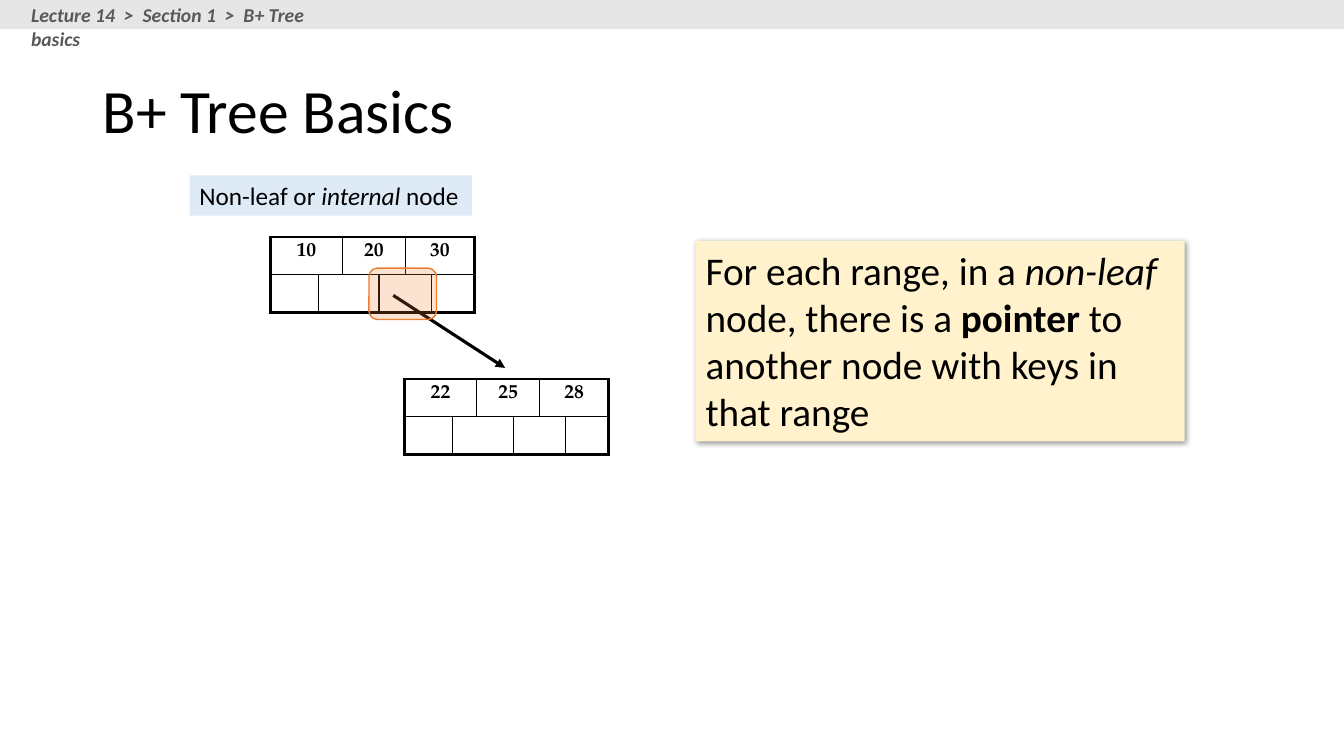
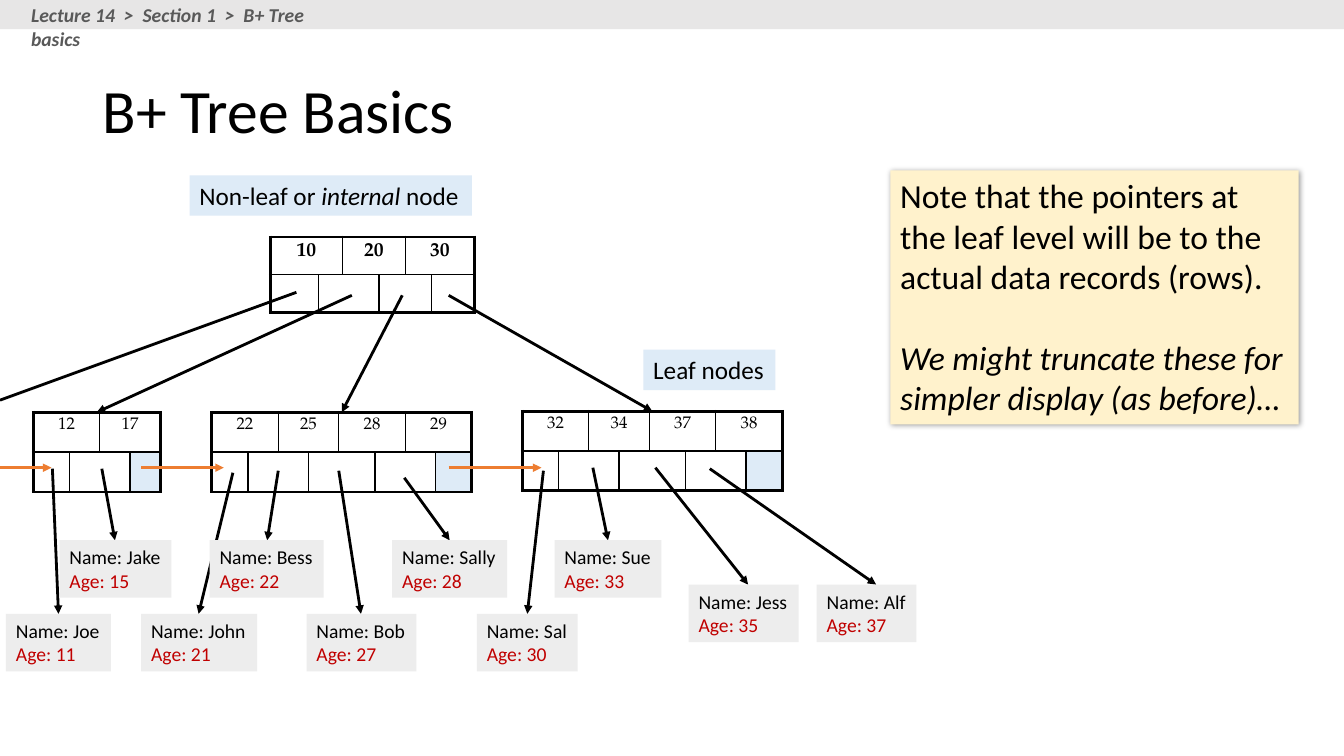
from dataclasses import dataclass

from lxml.etree import SubElement
from pptx import Presentation
from pptx.dml.color import RGBColor
from pptx.enum.shapes import MSO_CONNECTOR, MSO_SHAPE
from pptx.enum.text import MSO_ANCHOR, PP_ALIGN
from pptx.oxml import parse_xml
from pptx.oxml.ns import nsdecls, qn
from pptx.util import Inches, Pt


@dataclass(frozen=True)
class Theme:
    sans: str = "Calibri"
    serif: str = "TeX Gyre Pagella"
    ink: str = "000000"
    crumb: str = "595959"
    band: str = "E7E6E6"
    label: str = "DEEBF7"
    note: str = "FFF2CC"
    card: str = "EDEDED"
    age: str = "C00000"
    accent: str = "ED7D31"
    title_size: int = 44
    label_size: int = 18
    small_size: int = 14
    key_size: int = 12
    thin: float = 1
    arrow: float = 2
    thick: float = 2.25


THEME = Theme()
WIDTH, HEIGHT = 13.33, 7.5
ITALIC, BOLD = {"italic": True}, {"bold": True}

TITLE = "B+ Tree Basics"
CRUMBS = ("Lecture 14", "Section 1", "B+ Tree basics")
INTERNAL_LABEL = [[("Non-leaf or ", {}), ("internal ", ITALIC), ("node", {})]]
LEAF_LABEL = [[("Leaf nodes", {})]]
RANGE_NOTE = [[
    ("For each range, in a ", {}), ("non-leaf ", ITALIC), ("node, there is a ", {}),
    ("pointer", BOLD), (" to another node with keys in that range", {}),
]]
RECORD_NOTE = [
    [("Note that the pointers at the leaf level will be to the actual data records (rows).", {})],
    [("We might truncate these for simpler display (as before)…", ITALIC)],
]

INTERNAL_COLUMNS = (0.48, 0.21, 0.36, 0.26, 0.26, 0.43)
LEAF_COLUMNS = (0.36, 0.3, 0.3, 0.3, 0.36, 0.3, 0.3, 0.36)
INTERNAL_ROW, LEAF_ROW = 0.375, 0.395
ROOT_KEYS, ROOT_PLACE = ("10", "20", "30"), (2.68, 2.35)
CHILD_KEYS, CHILD_PLACE = ("22", "25", "28"), (4.01, 3.76)
LEAVES = [
    (("12", "17"), (0.33, 4.09), LEAF_COLUMNS[:4], (3.49, 2.93)),
    (("22", "25", "28", "29"), (2.1, 4.09), LEAF_COLUMNS, (3.99, 2.93)),
    (("32", "34", "37", "38"), (5.18, 4.08), LEAF_COLUMNS, (4.45, 2.93)),
]
CHAIN_TOP = 4.64
CHAIN = [(0, 0.51), (1.4, 2.22), (4.45, 5.37)]
CARD_HEIGHT = 0.57
UPPER, MIDDLE, LOWER = 5.36, 5.8, 6.09
RECORDS = [
    ("Joe", 11, 0.06, LOWER, 1.04, (0.52, 4.65), 0.58),
    ("Jake", 15, 0.59, UPPER, 1.11, (1.01, 4.65), 1.14),
    ("John", 21, 1.4, LOWER, 1.15, (2.31, 4.69), 1.97),
    ("Bess", 22, 2.08, UPPER, 1.13, (2.76, 4.67), 2.65),
    ("Bob", 27, 3.04, LOWER, 1.09, (3.36, 4.67), 3.58),
    ("Sally", 28, 3.89, UPPER, 1.14, (4.01, 4.74), 4.46),
    ("Sal", 30, 4.73, LOWER, 1, (5.39, 4.67), 5.23),
    ("Sue", 33, 5.5, UPPER, 1.06, (5.88, 4.64), 6.03),
    ("Jess", 35, 6.83, MIDDLE, 1.09, (6.5, 4.64), 7.42),
    ("Alf", 37, 8.1, MIDDLE, 0.99, (7.04, 4.65), 8.69),
]


def color(code):
    return RGBColor.from_string(code)


def apply(target, values):
    for name, value in values.items():
        setattr(target, name, value)


def add_span(para, text, size, font=THEME.sans, ink=THEME.ink, **extra):
    span = para.add_run()
    span.text = text
    apply(span.font, {"name": font, "size": Pt(size), **extra})
    span.font.color.rgb = color(ink)


def write(box, paragraphs, size, gap=0, **frame_format):
    frame = box.text_frame
    apply(frame, {"word_wrap": True, "vertical_anchor": MSO_ANCHOR.TOP, **frame_format})
    for index, spans in enumerate(paragraphs):
        para = frame.add_paragraph() if index else frame.paragraphs[0]
        para.alignment = PP_ALIGN.LEFT
        if index and gap:
            para.space_before = Pt(gap)
        for text, extra in spans:
            add_span(para, text, size, **extra)


def add_panel(page, place, fill, kind=MSO_SHAPE.RECTANGLE):
    panel = page.shapes.add_shape(kind, *map(Inches, place))
    panel.shadow.inherit = False
    panel.fill.solid()
    panel.fill.fore_color.rgb = color(fill)
    panel.line.fill.background()
    return panel


def add_label(page, place, paragraphs):
    write(add_panel(page, place, THEME.label), paragraphs, THEME.label_size, margin_right=0)


def add_note(page, place, paragraphs, size, gap=0):
    panel = add_panel(page, place, THEME.note)
    effects = panel._element.spPr.find(qn("a:effectLst"))
    effects.append(parse_xml(
        f'<a:outerShdw {nsdecls("a")} blurRad="50800" dist="12700" dir="2700000" algn="tl" '
        f'rotWithShape="0"><a:srgbClr val="{THEME.ink}"><a:alpha val="40000"/></a:srgbClr></a:outerShdw>'
    ))
    write(panel, paragraphs, size, gap)


def add_arrow(page, start, end, ink=THEME.ink, width=THEME.arrow, head=True):
    arrow = page.shapes.add_connector(MSO_CONNECTOR.STRAIGHT, *map(Inches, (*start, *end)))
    arrow.line.color.rgb = color(ink)
    arrow.line.width = Pt(width)
    if head:
        SubElement(arrow.line._get_or_add_ln(), qn("a:tailEnd"), type="triangle")
    SubElement(arrow._element.spPr, qn("a:effectLst"))


def set_borders(cell, widths):
    properties = cell._tc.get_or_add_tcPr()
    for index, (side, width) in enumerate(zip("LRTB", widths)):
        properties.insert(index, parse_xml(
            f'<a:ln{side} {nsdecls("a")} w="{int(Pt(width))}"><a:solidFill>'
            f'<a:srgbClr val="{THEME.ink}"/></a:solidFill></a:ln{side}>'
        ))


def add_node(page, keys, place, columns, row_height, size, bold=False, linked=False):
    count = len(columns)
    grid = page.shapes.add_table(
        2, count, *map(Inches, (*place, sum(columns), 2 * row_height))).table
    apply(grid, {"first_row": False, "horz_banding": False})
    for column, width in zip(grid.columns, columns):
        column.width = Inches(width)
    for row in grid.rows:
        row.height = Inches(row_height)
    key_groups = [(first, first + 1) for first in range(0, count, 2)]
    pointer_groups = [(0, 0), *((first, first + 1) for first in range(1, count - 1, 2)),
                      (count - 1, count - 1)]
    for row, groups in enumerate((key_groups, pointer_groups)):
        for position, (first, last) in enumerate(groups):
            edges = (first == 0, last == count - 1, row == 0, row == 1)
            widths = [THEME.thick if edge else THEME.thin for edge in edges]
            for column in range(first, last + 1):
                cell = grid.cell(row, column)
                cell.fill.background()
                set_borders(cell, widths)
            cell = grid.cell(row, first)
            if last > first:
                cell.merge(grid.cell(row, last))
            if row == 0:
                para = cell.text_frame.paragraphs[0]
                para.alignment = PP_ALIGN.CENTER
                add_span(para, keys[position], size, THEME.serif, bold=bold)
            else:
                apply(cell, {"margin_top": 0, "margin_bottom": 0})
    if linked:
        link = grid.cell(1, count - 1)
        link.fill.solid()
        link.fill.fore_color.rgb = color(THEME.label)


def add_internal(page, keys, place):
    add_node(page, keys, place, INTERNAL_COLUMNS, INTERNAL_ROW, THEME.small_size, bold=True)


def add_text(page, place, text, size, line_spacing=None, **extra):
    box = page.shapes.add_textbox(*map(Inches, place))
    anchor = MSO_ANCHOR.MIDDLE if line_spacing else MSO_ANCHOR.TOP
    write(box, [[(text, extra)]], size, vertical_anchor=anchor)
    if line_spacing:
        box.text_frame.paragraphs[0].line_spacing = line_spacing


def start_page(deck):
    page = deck.slides.add_slide(deck.slide_layouts[6])
    add_panel(page, (0, 0, WIDTH, 0.29), THEME.band)
    add_text(page, (0.21, -0.02, 3.39, 0.34), "  >  ".join(CRUMBS), THEME.small_size,
             ink=THEME.crumb, bold=True, italic=True)
    add_text(page, (0.92, 0.4, 11.5, 1.45), TITLE, THEME.title_size, line_spacing=0.9)
    add_label(page, (1.88, 1.74, 2.8, 0.4), INTERNAL_LABEL)
    add_internal(page, ROOT_KEYS, ROOT_PLACE)
    return page


def build_range_page(deck):
    page = start_page(deck)
    add_arrow(page, (3.9, 2.93), (5.01, 3.65), width=THEME.thick)
    highlight = add_panel(page, (3.66, 2.66, 0.67, 0.51), THEME.accent,
                          MSO_SHAPE.ROUNDED_RECTANGLE)
    tint = highlight._element.spPr.find(qn("a:solidFill"))[0]
    SubElement(tint, qn("a:alpha"), val="22000")
    highlight.line.color.rgb = color(THEME.accent)
    highlight.line.width = Pt(THEME.thin)
    add_internal(page, CHILD_KEYS, CHILD_PLACE)
    add_note(page, (6.9, 2.39, 4.85, 1.99), RANGE_NOTE, 28)


def build_record_page(deck):
    page = start_page(deck)
    add_label(page, (6.38, 3.47, 1.31, 0.4), LEAF_LABEL)
    for keys, place, columns, pointer in LEAVES:
        add_node(page, keys, place, columns, LEAF_ROW, THEME.key_size, linked=True)
        add_arrow(page, pointer, (place[0] + sum(columns) / 2, place[1]))
    add_arrow(page, (2.94, 2.9), (0, 3.97), head=False)
    for start, end in CHAIN:
        add_arrow(page, (start, CHAIN_TOP), (end, CHAIN_TOP), THEME.accent)
    for name, age, left, top, width, pointer, tip in RECORDS:
        add_arrow(page, pointer, (tip, top))
    for name, age, left, top, width, pointer, tip in RECORDS:
        card = add_panel(page, (left, top, width, CARD_HEIGHT), THEME.card)
        lines = [[(f"Name: {name}", {})], [(f"Age: {age}", {"ink": THEME.age})]]
        write(card, lines, THEME.small_size, margin_right=0)
    add_note(page, (8.83, 1.69, 4.05, 2.52), RECORD_NOTE, 24, gap=29)


def main():
    deck = Presentation()
    apply(deck, {"slide_width": Inches(WIDTH), "slide_height": Inches(HEIGHT)})
    build_range_page(deck)
    build_record_page(deck)
    deck.save("out.pptx")


if __name__ == "__main__":
    main()
